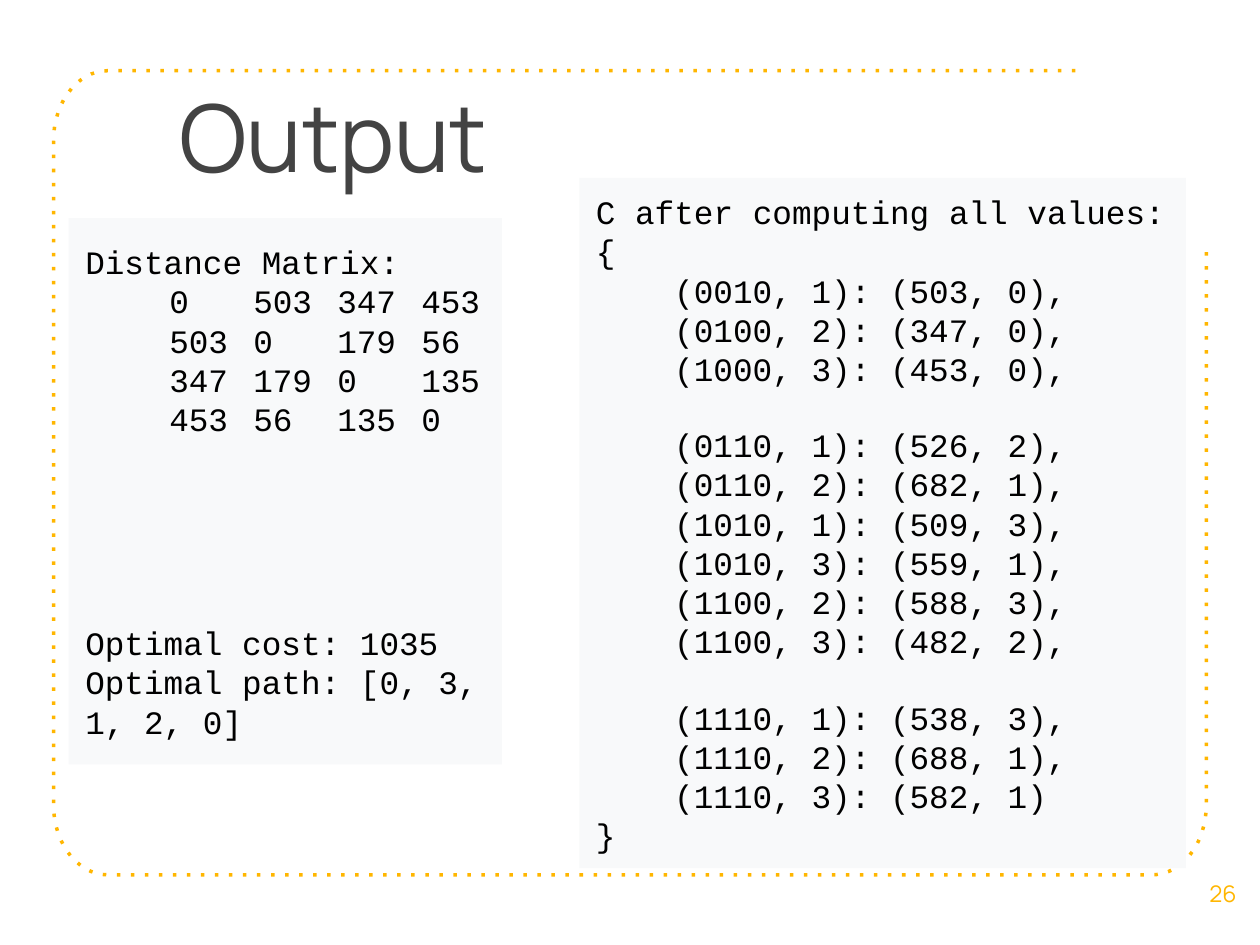
import math
from dataclasses import dataclass

from lxml import etree
from pptx import Presentation
from pptx import util as u
from pptx.dml.color import RGBColor
from pptx.enum import shapes, text
from pptx.oxml.ns import qn


@dataclass(frozen=True)
class Theme:
    gold: str = "FFB600"
    grey: str = "434343"
    ink: str = "000000"
    panel: str = "F8F9FA"
    sans: str = "Manrope"
    mono: str = "Courier New"
    head: float = 40
    code: float = 14
    page: float = 9.8
    rule: float = 1.5
    step: float = 8.4  # width of one code character, points
    line: float = 15.86  # height of one code line, points


class Deck:
    def __init__(self, theme):
        self.theme = theme
        self.prs = Presentation()
        self.prs.slide_width = u.Cm(19.05)
        self.prs.slide_height = u.Cm(14.29)
        self.slide = self.prs.slides.add_slide(self.prs.slide_layouts[5])

    def place(self, shape, box):
        shape.left, shape.top, shape.width, shape.height = map(u.Cm, box)

    def run(self, para, words, font, size, color):
        run = para.add_run()
        run.text = words
        run.font.name = font
        run.font.size = u.Pt(size)
        run.font.color.rgb = RGBColor.from_string(color)

    def setup(self, frame, anchor, inset=None):
        frame.auto_size = text.MSO_AUTO_SIZE.NONE
        frame.word_wrap = True
        frame.vertical_anchor = anchor
        if inset is not None:
            frame.margin_left = frame.margin_right = u.Cm(inset)
            frame.margin_top = frame.margin_bottom = u.Cm(inset)

    def title(self, box, words):
        shape = self.slide.shapes.title
        self.place(shape, box)
        self.setup(shape.text_frame, text.MSO_ANCHOR.TOP, 0.25)
        para = shape.text_frame.paragraphs[0]
        para.alignment = text.PP_ALIGN.LEFT
        self.run(para, words, self.theme.sans, self.theme.head, self.theme.grey)

    def number(self, box, words):
        shape = self.slide.shapes.add_textbox(*map(u.Cm, box))
        self.setup(shape.text_frame, text.MSO_ANCHOR.MIDDLE, 0.25)
        para = shape.text_frame.paragraphs[0]
        para.alignment = text.PP_ALIGN.CENTER
        self.run(para, words, self.theme.sans, self.theme.page, self.theme.gold)

    def border(self, start, turns, end, rx, ry):
        """Draw an open line through quarter turns, each (x, y, first angle)."""
        points = [start]
        for x, y, first in turns:
            for deg in range(first, first - 91, -6):
                a = math.radians(deg)
                points.append((x + rx * math.cos(a), y + ry * math.sin(a)))
        points = [(u.Cm(x), u.Cm(y)) for x, y in points + [end]]
        pen = self.slide.shapes.build_freeform(*points[0])
        pen.add_line_segments(points[1:], close=False)
        shape = pen.convert_to_shape()
        shape.shadow.inherit = False
        shape.fill.background()
        shape.line.color.rgb = RGBColor.from_string(self.theme.gold)
        shape.line.width = u.Pt(self.theme.rule)
        ln = shape.line._get_or_add_ln()
        etree.SubElement(ln, qn("a:prstDash")).set("val", "dot")

    def panel(self, box, lines, wrap=True):
        """Each line is (words, indent in characters, blank lines before)."""
        shape = self.slide.shapes.add_shape(
            shapes.MSO_SHAPE.RECTANGLE, *map(u.Cm, box))
        shape.shadow.inherit = False
        shape.fill.solid()
        shape.fill.fore_color.rgb = RGBColor.from_string(self.theme.panel)
        shape.line.fill.background()
        frame = shape.text_frame
        self.setup(frame, text.MSO_ANCHOR.MIDDLE)
        frame.word_wrap = wrap
        for i, (words, indent, gap) in enumerate(lines):
            para = frame.add_paragraph() if i else frame.paragraphs[0]
            para.alignment = text.PP_ALIGN.LEFT
            para.space_before = u.Pt(gap * self.theme.line)
            props = para._p.get_or_add_pPr()
            props.set("marL", str(u.Pt(indent * self.theme.step)))
            props.set("indent", "0")
            if "\t" in words:
                self.tabs(props, words.count("\t"))
            self.run(para, words, self.theme.mono, self.theme.code,
                     self.theme.ink)

    def tabs(self, props, count):
        stops = etree.SubElement(props, qn("a:tabLst"))
        for col in range(1, count + 1):
            stop = etree.SubElement(stops, qn("a:tab"))
            stop.set("pos", str(u.Pt(5 * col * self.theme.step)))
            stop.set("algn", "r")


def main():
    deck = Deck(Theme())

    # Dotted frame, open at the top right
    deck.border((16.26, 1.07),
                [(1.63, 2.13, 270), (1.63, 12.17, 180), (17.42, 12.17, 90)],
                (18.24, 3.71), 0.82, 1.06)

    # Title and page number
    deck.title((2.46, 0.94, 14.3, 2.39), "Output")
    deck.number((17.93, 12.75, 1.12, 1.52), "26")

    # Distances and best route
    matrix = [(0, 503, 347, 453), (503, 0, 179, 56),
              (347, 179, 0, 135), (453, 56, 135, 0)]
    rows = [("".join(f"\t{d}" for d in row), 0, 0) for row in matrix]
    deck.panel((1.04, 3.3, 6.55, 8.26), [
        ("Distance Matrix:", 0, 0), *rows,
        ("Optimal cost: 1035", 0, 5),
        ("Optimal path: [0, 3, 1, 2, 0]", 0, 0)])

    # Computed values, grouped by subset size
    groups = [
        ["(0010, 1): (503, 0),", "(0100, 2): (347, 0),",
         "(1000, 3): (453, 0),"],
        ["(0110, 1): (526, 2),", "(0110, 2): (682, 1),",
         "(1010, 1): (509, 3),", "(1010, 3): (559, 1),",
         "(1100, 2): (588, 3),", "(1100, 3): (482, 2),"],
        ["(1110, 1): (538, 3),", "(1110, 2): (688, 1),",
         "(1110, 3): (582, 1)"]]
    items = [(words, 4, int(g > 0 and i == 0))
             for g, group in enumerate(groups)
             for i, words in enumerate(group)]
    deck.panel((8.76, 2.69, 9.17, 10.44), [
        ("C after computing all values:", 0, 0), ("{", 0, 0),
        *items, ("}", 0, 0)], wrap=False)

    deck.prs.save("out.pptx")


if __name__ == "__main__":
    main()
